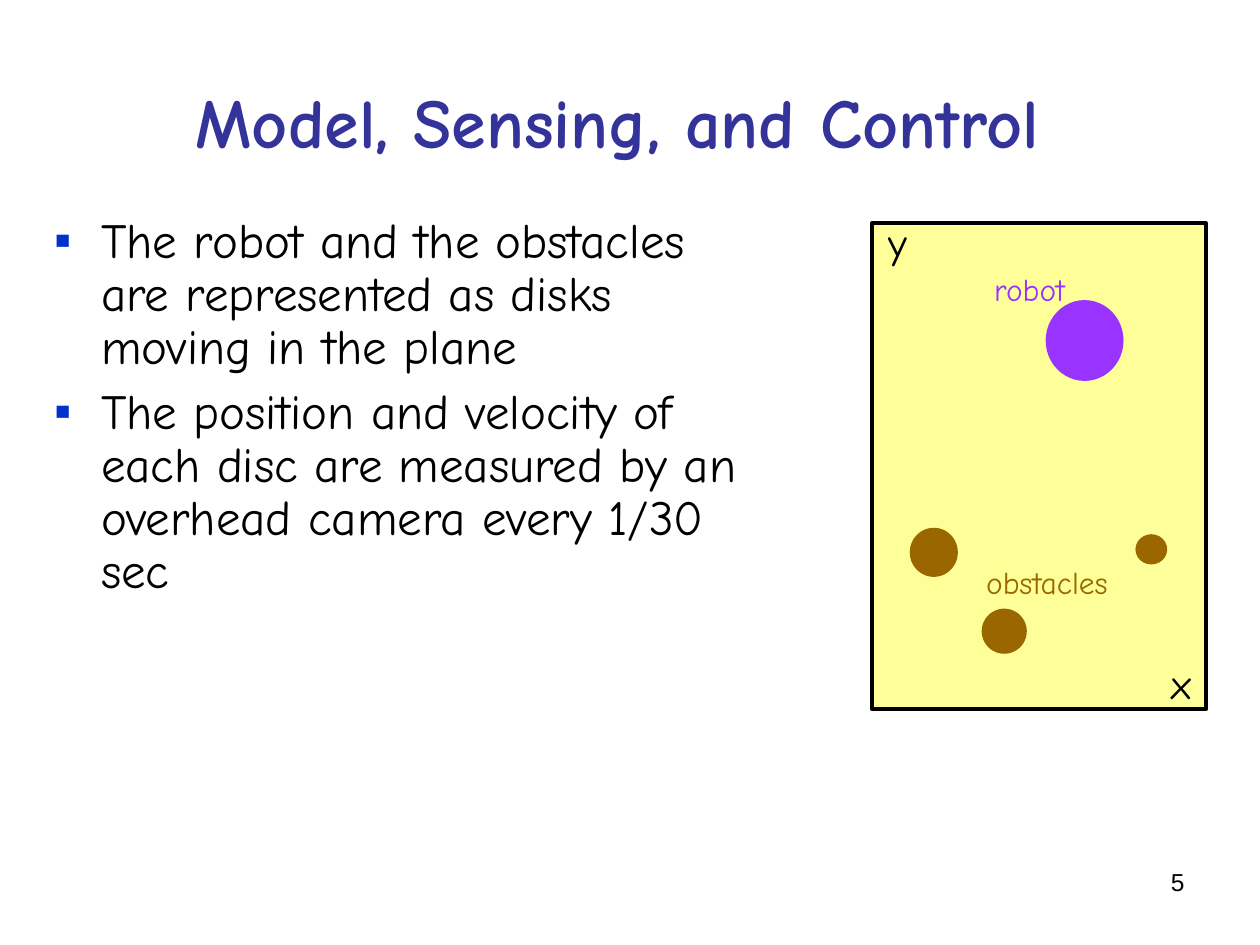
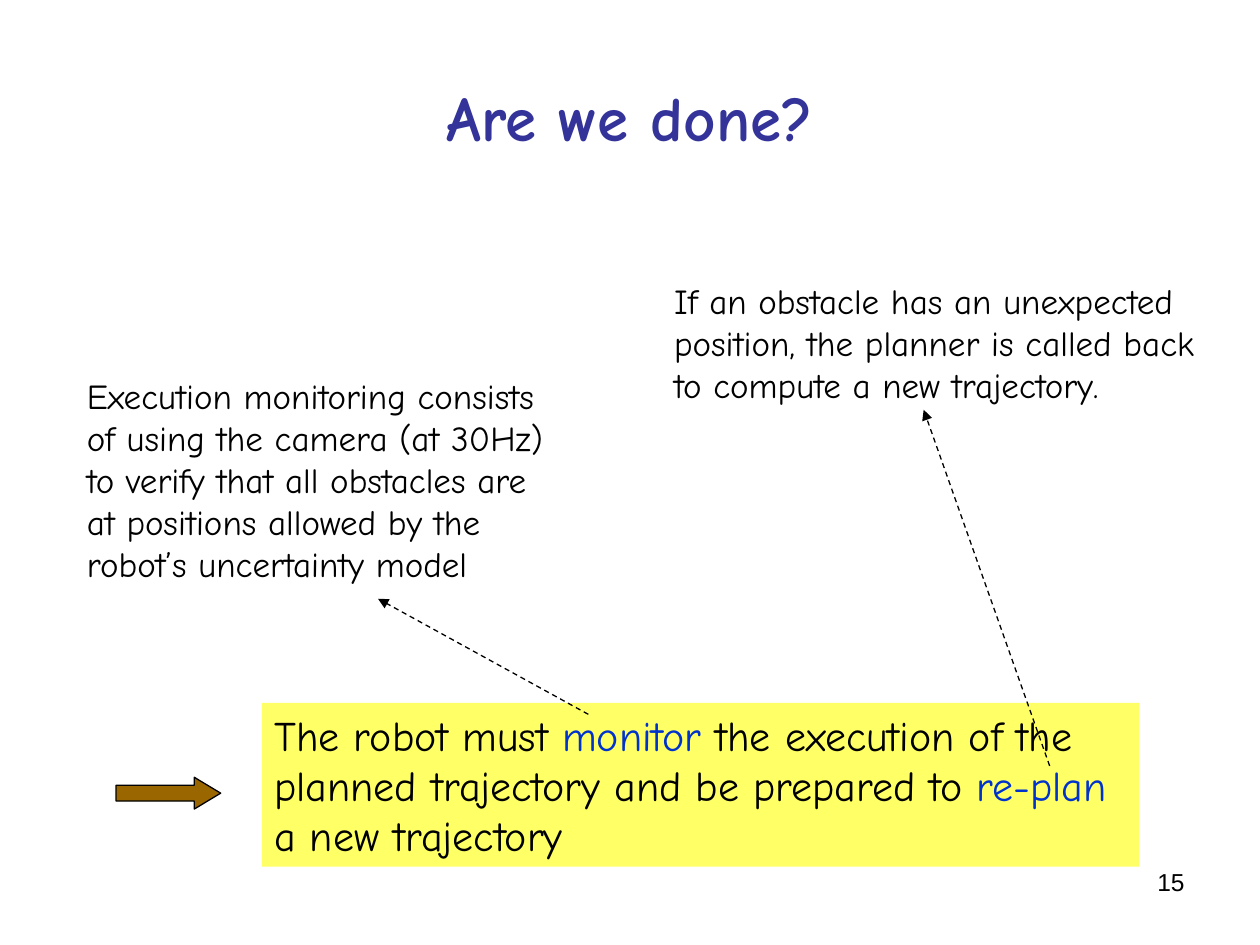
from lxml.etree import SubElement
from pptx import Presentation
from pptx.dml.color import RGBColor
from pptx.enum.dml import MSO_LINE
from pptx.enum.shapes import MSO_CONNECTOR, MSO_SHAPE
from pptx.enum.text import MSO_ANCHOR, MSO_AUTO_SIZE, PP_ALIGN
from pptx.oxml.ns import qn
from pptx.util import Cm, Pt

HUES = {
    "black": "000000", "title": "333399", "blue": "0033CC",
    "purple": "9933FF", "brown": "996600",
    "sand": "FFFF99", "yellow": "FFFF66",
}
HAND = "Comic Neue"
FONTS = {
    "title": {"name": HAND, "size": Pt(40), "bold": True},
    "short": {"name": HAND, "size": Pt(36), "bold": True},
    "body": {"name": HAND, "size": Pt(28)},
    "large": {"name": HAND, "size": Pt(24)},
    "note": {"name": HAND, "size": Pt(20)},
    "label": {"name": HAND, "size": Pt(18)},
    "number": {"name": "Arial", "size": Pt(14)},
}
FIXED = {"word_wrap": True, "vertical_anchor": MSO_ANCHOR.TOP}
MIDDLE = {"word_wrap": True, "vertical_anchor": MSO_ANCHOR.MIDDLE}
GROW = {"word_wrap": False, "vertical_anchor": MSO_ANCHOR.TOP,
        "auto_size": MSO_AUTO_SIZE.SHAPE_TO_FIT_TEXT}
LEFT, CENTER, RIGHT = PP_ALIGN.LEFT, PP_ALIGN.CENTER, PP_ALIGN.RIGHT


def rgb(hue):
    return RGBColor.from_string(HUES[hue])


def span(sizes):
    return [Cm(size) for size in sizes]


def apply(item, style):
    for name, value in style.items():
        setattr(item, name, value)


def write(shape, paras, font, hue="black", align=LEFT, frame=GROW):
    """Fill a shape; a paragraph is a string or a list of (text, hue) runs."""
    text = shape.text_frame
    apply(text, frame)
    for i, para in enumerate(paras):
        line = text.add_paragraph() if i else text.paragraphs[0]
        line.alignment = align
        runs = [(para, hue)] if isinstance(para, str) else para
        for words, tint in runs:
            for j, part in enumerate(words.split("\n")):
                if j:
                    line.add_line_break()
                run = line.add_run()
                run.text = part
                apply(run.font, FONTS[font])
                run.font.color.rgb = rgb(tint)
    return text


def add_text(slide, box, paras, font, **style):
    return write(slide.shapes.add_textbox(*span(box)), paras, font, **style)


def add_form(slide, kind, box, fill, width=0):
    form = slide.shapes.add_shape(kind, *span(box))
    form.shadow.inherit = False
    form.fill.solid()
    form.fill.fore_color.rgb = rgb(fill)
    if width:
        form.line.color.rgb = rgb("black")
        form.line.width = Pt(width)
    else:
        form.line.fill.background()
    return form


def add_arrow(slide, ends):
    """Draw a dashed line with its arrowhead at the second point."""
    link = slide.shapes.add_connector(MSO_CONNECTOR.STRAIGHT, *span(ends))
    link.line.color.rgb = rgb("black")
    apply(link.line, {"width": Pt(0.75), "dash_style": MSO_LINE.DASH})
    SubElement(link.line._get_or_add_ln(), qn("a:tailEnd"), type="triangle")
    SubElement(link._element.spPr, qn("a:effectLst"))


def add_list(slide, box, items):
    text = add_text(slide, box, items, "body", frame=FIXED)
    for i, line in enumerate(text.paragraphs):
        apply(line, {"line_spacing": 0.9, "space_before": Pt(7 if i else 0)})
        props = line._p.get_or_add_pPr()
        props.set("marL", str(Cm(0.95)))
        props.set("indent", str(Cm(-0.95)))
        tint = SubElement(props, qn("a:buClr"))
        SubElement(tint, qn("a:srgbClr"), val=HUES["blue"])
        SubElement(props, qn("a:buFont"), typeface="Arial")
        SubElement(props, qn("a:buChar"), char="▪")


def add_page(deck, title, number, top, font):
    slide = deck.slides.add_slide(deck.slide_layouts[6])
    add_text(slide, (1.27, top, 22.86, 3.18), [title], font,
             hue="title", align=CENTER, frame=MIDDLE)
    add_text(slide, (18.21, 17.35, 5.92, 1.32), [number], "number",
             align=RIGHT, frame=FIXED)
    return slide


def add_plane(slide):
    add_form(slide, MSO_SHAPE.RECTANGLE, (17.58, 4.5, 6.73, 9.8), "sand", 2.25)
    disks = [
        ((21.08, 6.05, 1.57, 1.63), "purple"),
        ((18.34, 10.64, 0.97, 0.99), "brown"),
        ((19.79, 12.27, 0.91, 0.91), "brown"),
        ((22.89, 10.77, 0.64, 0.61), "brown"),
    ]
    for box, hue in disks:
        add_form(slide, MSO_SHAPE.OVAL, box, hue)
    labels = [
        ((23.37, 13.13, 0.91, 1.27), "x", "large", "black", CENTER),
        ((17.65, 4.24, 0.89, 1.27), "y", "large", "black", CENTER),
        ((19.79, 5.31, 1.96, 1.02), "robot", "label", "purple", LEFT),
        ((19.63, 11.23, 2.97, 1.02), "obstacles", "label", "brown", LEFT),
    ]
    for box, word, font, hue, align in labels:
        add_text(slide, box, [word], font, hue=hue, align=align)


def add_model(deck):
    slide = add_page(deck, "Model, Sensing, and Control ", "5", 0.84, "title")
    add_list(slide, (0.84, 4.24, 14.4, 8.69), [
        "The robot and the obstacles are represented as disks moving in the plane",
        "The position and velocity of each disc are measured by an overhead "
        "camera every 1/30 sec",
    ])
    add_plane(slide)


def add_done(deck):
    slide = add_page(deck, "Are we done?", "15", 0.76, "short")
    claim = add_form(slide, MSO_SHAPE.RECTANGLE, (5.28, 14.17, 17.68, 3.3), "yellow")
    write(claim, [
        [("The robot must ", "black"), ("monitor", "blue"),
         (" the execution of the", "black")],
        [("planned trajectory and be prepared to ", "black"), ("re-plan", "blue")],
        "a new trajectory",
    ], "large")
    sign = add_form(slide, MSO_SHAPE.RIGHT_ARROW, (2.34, 15.67, 2.11, 0.64),
                    "brown", 0.75)
    sign.adjustments[1] = 0.83
    notes = [
        ((1.5, 7.42, 9.96, 4.5), (11.86, 14.4, 7.62, 12.07), [
            "Execution monitoring consists \nof using the camera (at 30Hz) \n"
            "to verify that all obstacles are",
            "at positions allowed by the \nrobot’s uncertainty model",
        ]),
        ((13.34, 5.51, 11, 2.79), (21.16, 15.44, 18.62, 8.26), [
            "If an obstacle has an unexpected",
            "position, the planner is called back",
            "to compute a new trajectory.",
        ]),
    ]
    for box, ends, paras in notes:
        add_text(slide, box, paras, "note")
        add_arrow(slide, ends)


def main():
    deck = Presentation()
    apply(deck, {"slide_width": Cm(25.4), "slide_height": Cm(19.05)})
    add_model(deck)
    add_done(deck)
    deck.save("out.pptx")


if __name__ == "__main__":
    main()
